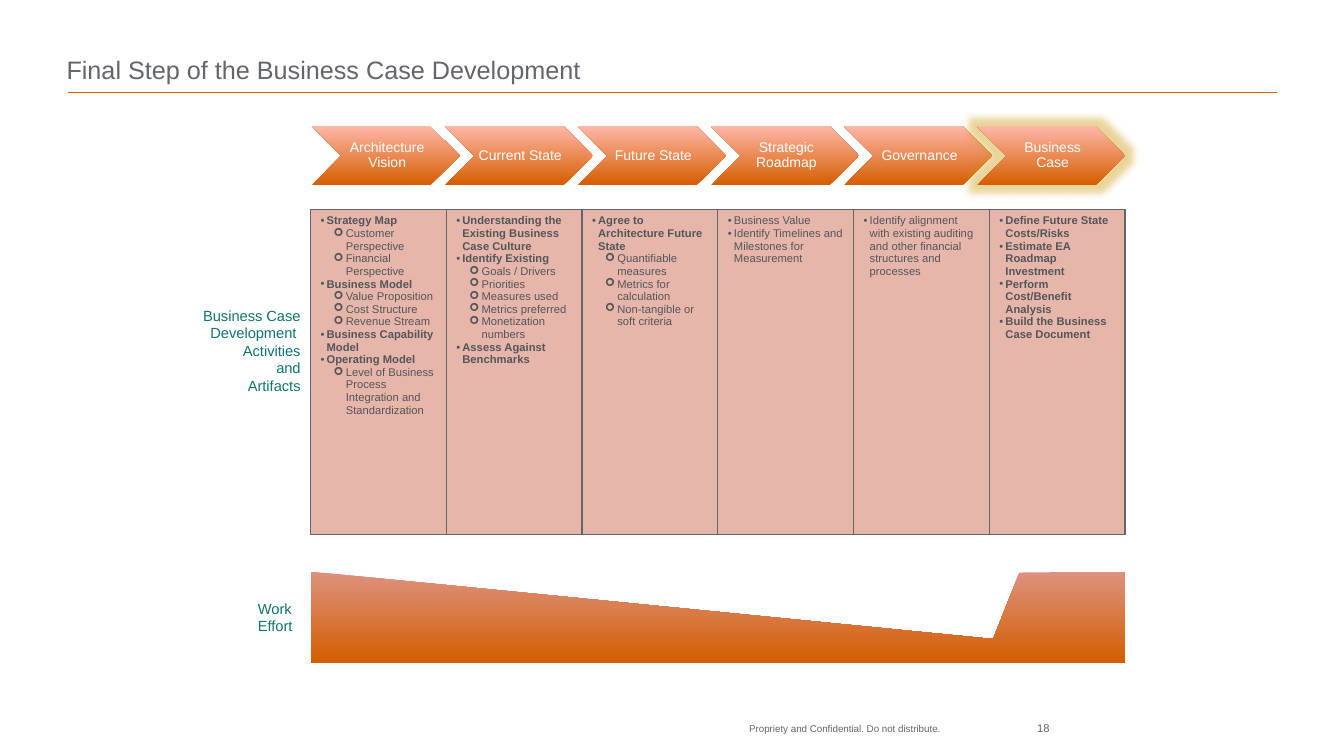
"""Build the slide on the final step of business case development."""
from lxml import etree
from pptx import Presentation, util as u
from pptx.dml.color import RGBColor
from pptx.enum import shapes, text
from pptx.oxml import parse_xml
from pptx.oxml.ns import nsdecls, qn

GREY = RGBColor(0x63, 0x66, 0x6A)
DARK = RGBColor(0x53, 0x56, 0x59)
TEAL = RGBColor(0x0D, 0x77, 0x6E)
ORANGE = RGBColor(0xD4, 0x5D, 0x00)
PEACH = RGBColor(0xFF, 0xB7, 0xA8)
CLAY = RGBColor(0xDD, 0x92, 0x7F)
ROSE = RGBColor(0xE6, 0xB6, 0xAA)
GOLD = RGBColor(0xC9, 0x97, 0x00)
WHITE = RGBColor(0xFF, 0xFF, 0xFF)
LEFT, WIDE = 3.08, 8.08
TOP, TALL = 2.08, 3.22

STEPS = [
    ("Architecture Vision", True, [
        "Strategy Map", "> Customer Perspective", "> Financial Perspective",
        "Business Model", "> Value Proposition", "> Cost Structure",
        "> Revenue Stream", "Business Capability Model", "Operating Model",
        "> Level of Business Process Integration and Standardization"]),
    ("Current State", True, [
        "Understanding the Existing Business Case Culture",
        "Identify Existing", "> Goals / Drivers", "> Priorities",
        "> Measures used", "> Metrics preferred", "> Monetization numbers",
        "Assess Against Benchmarks"]),
    ("Future State", True, [
        "Agree to Architecture Future State", "> Quantifiable measures",
        "> Metrics for calculation", "> Non-tangible or soft criteria"]),
    ("Strategic Roadmap", False, [
        "Business Value",
        "Identify Timelines and Milestones for Measurement"]),
    ("Governance", False, [
        "Identify alignment with existing auditing and other financial "
        "structures and processes"]),
    ("Business Case", True, [
        "Define Future State Costs/Risks", "Estimate EA Roadmap Investment",
        "Perform Cost/Benefit Analysis", "Build the Business Case Document"]),
]


def write(frame, words, size, color, align=text.PP_ALIGN.LEFT, pad=None):
    """Fill a text frame and format every run in it."""
    frame.text = words
    if pad is not None:
        frame.margin_left = frame.margin_right = u.Inches(pad)
        frame.margin_top = frame.margin_bottom = u.Inches(pad)
    for para in frame.paragraphs:
        para.alignment = align
        for run in para.runs:
            run.font.size = u.Pt(size)
            run.font.name = "Arial"
            run.font.color.rgb = color


def shade(shape, first, last, angle):
    """Give a shape a two-colour gradient without line or shadow."""
    shape.shadow.inherit = False
    shape.line.fill.background()
    shape.fill.gradient()
    shape.fill.gradient_angle = angle
    for stop, color in zip(shape.fill.gradient_stops, (first, last)):
        stop.color.rgb = color


deck = Presentation()
deck.slide_width, deck.slide_height = u.Inches(13.33), u.Inches(7.5)
slide = deck.slides.add_slide(deck.slide_layouts[5])
items = slide.shapes

rule = items.add_connector(shapes.MSO_CONNECTOR.STRAIGHT, u.Inches(0.67),
                           u.Inches(0.92), u.Inches(12.67), u.Inches(0.92))
rule.line.color.rgb = ORANGE
rule.line.width = u.Pt(1)
etree.SubElement(rule._element.spPr, qn("a:effectLst"))

title = items.title
title.left, title.top = u.Inches(0.66), u.Inches(0.17)
title.width, title.height = u.Inches(12), u.Inches(0.67)
write(title.text_frame, "Final Step of the Business Case Development",
      18, GREY, pad=0)
title.text_frame.vertical_anchor = text.MSO_ANCHOR.BOTTOM

RIGHT = text.PP_ALIGN.RIGHT
NOTES = [
    ("Propriety and Confidential. Do not distribute.",
     (7.43, 7.17, 2.78, 0.25), 7, GREY, text.PP_ALIGN.LEFT, 0, False),
    ("18", (9.97, 7.16, 0.44, 0.17), 8, GREY, RIGHT, 0, True),
    ("Business Case Development \nActivities\nand\nArtifacts",
     (1.83, 2.99, 1.25, 0.98), 10.5, TEAL, RIGHT, None, True),
    ("Work\nEffort", (2.46, 5.9, 0.55, 0.45), 10.5, TEAL,
     text.PP_ALIGN.LEFT, None, False),
]
for words, place, size, color, align, pad, wrap in NOTES:
    box = items.add_textbox(*map(u.Inches, place))
    write(box.text_frame, words, size, color, align, pad)
    box.text_frame.word_wrap = wrap

for col, (name, _, _) in enumerate(STEPS):
    step = items.add_shape(shapes.MSO_SHAPE.CHEVRON,
                           u.Inches(LEFT + 0.01 + 1.32 * col),
                           u.Inches(1.25), u.Inches(1.47), u.Inches(0.59))
    shade(step, ORANGE, PEACH, 90)
    frame = step.text_frame
    write(frame, name, 10, WHITE, text.PP_ALIGN.CENTER, 0.01)
    frame.margin_left = u.Inches(0.04)
    frame.word_wrap = True
    frame.vertical_anchor = text.MSO_ANCHOR.MIDDLE
    frame.paragraphs[0].line_spacing = 0.9
step._element.spPr.find(qn("a:effectLst")).append(parse_xml(
    f'<a:glow {nsdecls("a")} rad="{u.Pt(11)}"><a:srgbClr val="{GOLD}">'
    '<a:alpha val="40000"/></a:srgbClr></a:glow>'))

table = items.add_table(1, len(STEPS), u.Inches(LEFT), u.Inches(TOP),
                        u.Inches(WIDE), u.Inches(TALL)).table
table.first_row = table.horz_banding = False
for col, (_, heavy, lines) in enumerate(STEPS):
    cell = table.cell(0, col)
    write(cell.text_frame, "\n".join(s.removeprefix("> ") for s in lines),
          8, DARK)
    for para, line in zip(cell.text_frame.paragraphs, lines):
        sub = line.startswith("> ")
        para.level = int(sub)
        para.runs[0].font.bold = heavy and not sub
        props = para._p.get_or_add_pPr()
        props.set("marL", str(u.Inches(0.25 if sub else 0.06)))
        props.set("indent", str(u.Inches(-0.12 if sub else -0.06)))
        mark = etree.SubElement(props, qn("a:buFont"))
        mark.set("typeface", "Wingdings" if sub else "Arial")
        mark = etree.SubElement(props, qn("a:buChar"))
        mark.set("char", "➢" if sub else "•")
    for side in "LRTB":
        cell._tc.get_or_add_tcPr().append(parse_xml(
            f'<a:ln{side} {nsdecls("a")} w="{u.Pt(1)}"><a:solidFill>'
            f'<a:srgbClr val="{GREY}"/></a:solidFill></a:ln{side}>'))
    cell.fill.solid()
    cell.fill.fore_color.rgb = ROSE

EDGE = LEFT + WIDE
curve = items.build_freeform(u.Inches(LEFT), u.Inches(5.67))
curve.add_line_segments(
    [(u.Inches(x), u.Inches(y)) for x, y in
     [(9.85, 6.34), (10.11, 5.68), (EDGE, 5.67), (EDGE, 6.58), (LEFT, 6.58)]],
    close=True)
shade(curve.convert_to_shape(), CLAY, ORANGE, 270)

deck.save("out.pptx")
